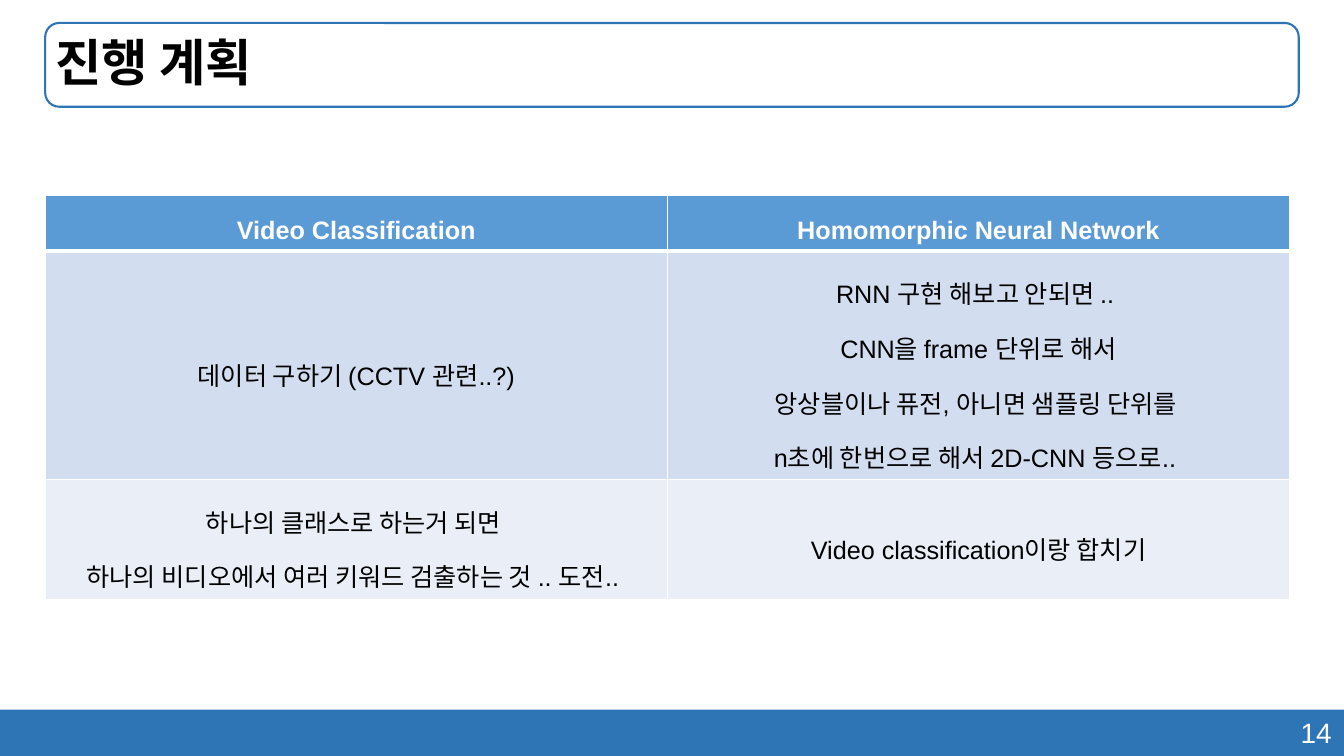
import pptx
import pptx.dml.color
import pptx.enum.shapes
import pptx.enum.text
import pptx.oxml
import pptx.oxml.ns
import pptx.util
from pptx.util import Cm

COLORS = {
    "bar": "2E75B6", "header": "5B9BD5", "band_dark": "D2DEEF",
    "band_light": "EAEFF7", "white": "FFFFFF", "black": "000000",
}
LATIN, KOREAN = "Arial", "Noto Sans CJK KR"
ALIGN = pptx.enum.text.PP_ALIGN
MIDDLE = pptx.enum.text.MSO_ANCHOR.MIDDLE
SHAPES = pptx.enum.shapes.MSO_SHAPE

SLIDE_W, SLIDE_H = Cm(33.87), Cm(19.05)
MARGIN = Cm(1.14)
PLAN_ROWS = [
    ("Video Classification", "Homomorphic Neural Network"),
    ("데이터 구하기 (CCTV 관련..?)",
     "RNN 구현 해보고 안되면 .. \nCNN을 frame 단위로 해서\n"
     "앙상블이나 퓨전, 아니면 샘플링 단위를 \nn초에 한번으로 해서 2D-CNN 등으로.. "),
    ("하나의 클래스로 하는거 되면 \n하나의 비디오에서 여러 키워드 검출하는 것 .. 도전.. ",
     "Video classification이랑 합치기"),
]
ROW_HEIGHTS = [Cm(1.3), Cm(5.75), Cm(3.03)]
ROW_FILLS = ["header", "band_dark", "band_light"]


def rgb(name):
    return pptx.dml.color.RGBColor.from_string(COLORS[name])


def write(frame, text, size=18, color="black", bold=False, font=LATIN,
          align=ALIGN.LEFT, spacing=1.0):
    """Fill a text frame with one paragraph; newlines become line breaks."""
    frame.word_wrap = True
    paragraph = frame.paragraphs[0]
    paragraph.alignment = align
    paragraph.line_spacing = spacing
    for index, line in enumerate(text.split("\n")):
        if index:
            paragraph.add_line_break()
        run = paragraph.add_run()
        run.text = line
        run.font.name = font
        run.font.size = pptx.util.Pt(size)
        run.font.bold = bold
        run.font.color.rgb = rgb(color)
        east_asian = pptx.oxml.parse_xml(
            f'<a:ea {pptx.oxml.ns.nsdecls("a")} typeface="{KOREAN}"/>')
        run.font._element.find(pptx.oxml.ns.qn("a:latin")).addnext(east_asian)


def set_borders(cell, **widths):
    """Draw white borders, given in points by side (L, R, T, B)."""
    properties = cell._tc.get_or_add_tcPr()
    for position, (side, width) in enumerate(widths.items()):
        border = pptx.oxml.parse_xml(
            f'<a:ln{side} {pptx.oxml.ns.nsdecls("a")} w="{pptx.util.Pt(width)}">'
            f'<a:solidFill><a:srgbClr val="{COLORS["white"]}"/></a:solidFill>'
            f'</a:ln{side}>')
        properties.insert(position, border)


def add_title(slide, left, top, width, height):
    # Rounded outline
    outline = slide.shapes.add_shape(SHAPES.ROUNDED_RECTANGLE, left, top, width, height)
    outline.shadow.inherit = False
    outline.fill.background()
    outline.line.color.rgb = rgb("bar")
    outline.line.width = pptx.util.Pt(1.5)
    # Heading
    heading = slide.shapes.title
    heading.left, heading.top, heading.width, heading.height = left, top, width, height
    heading.text_frame.vertical_anchor = MIDDLE
    write(heading.text_frame, "진행 계획", size=36, bold=True, font=KOREAN, spacing=0.9)


def add_plan_table(slide, left, top, width):
    plan = slide.shapes.add_table(len(PLAN_ROWS), len(PLAN_ROWS[0]), left, top,
                                  width, sum(ROW_HEIGHTS)).table
    for row, texts in enumerate(PLAN_ROWS):
        plan.rows[row].height = ROW_HEIGHTS[row]
        is_header = row == 0
        for column, text in enumerate(texts):
            cell = plan.cell(row, column)
            cell.vertical_anchor = MIDDLE
            cell.fill.solid()
            cell.fill.fore_color.rgb = rgb(ROW_FILLS[row])
            set_borders(cell, L=1, R=1, T=3 if row == 1 else 1, B=3 if is_header else 1)
            write(cell.text_frame, text, bold=is_header, align=ALIGN.CENTER,
                  color="white" if is_header else "black", spacing=1.5)


def add_footer(slide, left, top, width, height):
    # Bar
    bar = slide.shapes.add_shape(SHAPES.RECTANGLE, left, top, width, height)
    bar.shadow.inherit = False
    bar.fill.solid()
    bar.fill.fore_color.rgb = rgb("bar")
    bar.line.fill.background()
    # Page number
    number_width = Cm(9.9)
    page_number = slide.shapes.add_textbox(left + width - number_width - Cm(0.06),
                                           top + Cm(0.02), number_width, Cm(1.11))
    write(page_number.text_frame, "14", size=20, color="white", align=ALIGN.RIGHT)


def main():
    deck = pptx.Presentation()
    deck.slide_width, deck.slide_height = SLIDE_W, SLIDE_H
    slide = deck.slides.add_slide(deck.slide_layouts[5])
    bar_height = Cm(1.17)
    add_footer(slide, 0, SLIDE_H - bar_height, SLIDE_W, bar_height)
    add_title(slide, MARGIN, Cm(0.58), SLIDE_W - 2 * MARGIN, Cm(2.11))
    add_plan_table(slide, MARGIN, Cm(4.93), Cm(31.36))
    deck.save("out.pptx")


if __name__ == "__main__":
    main()
